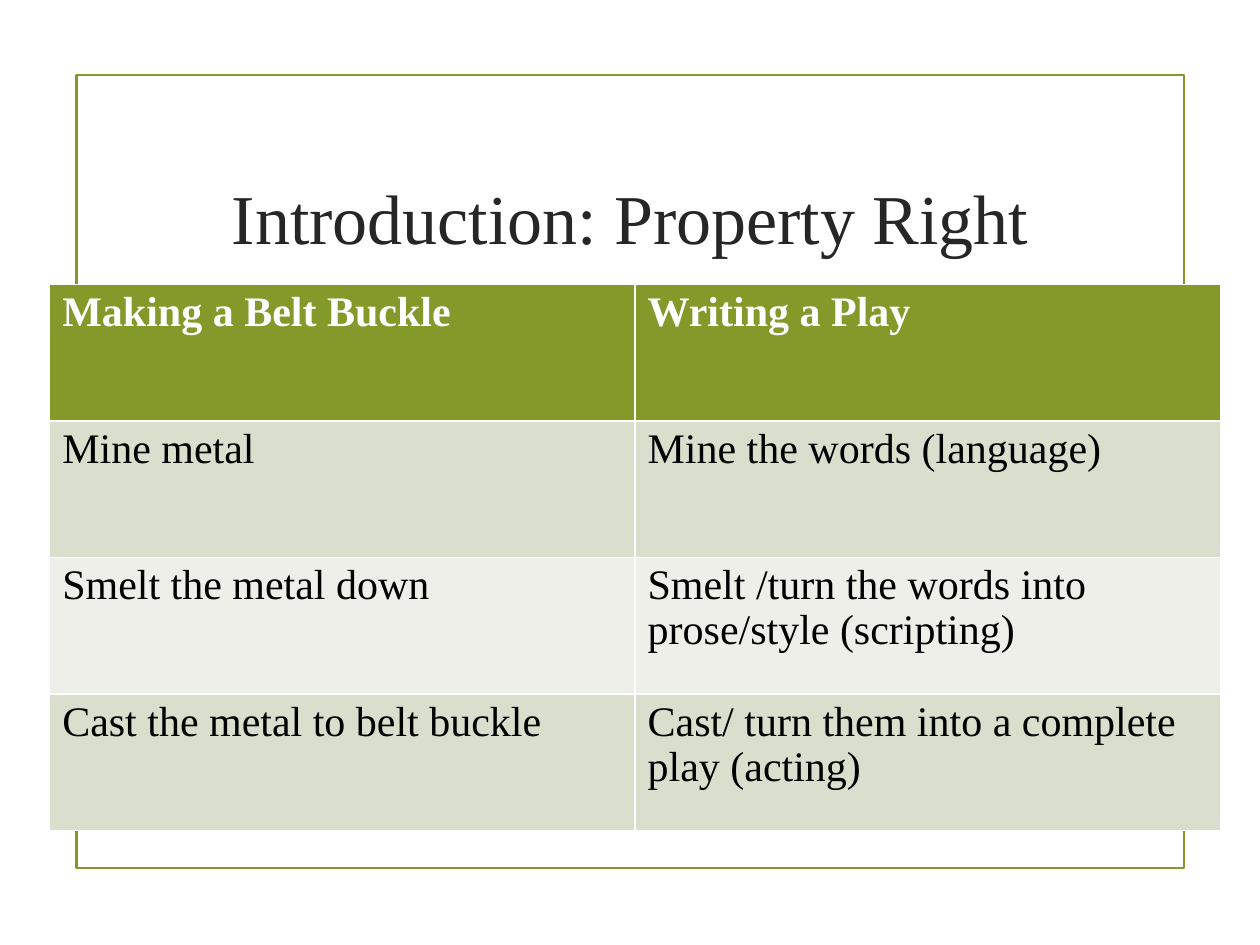
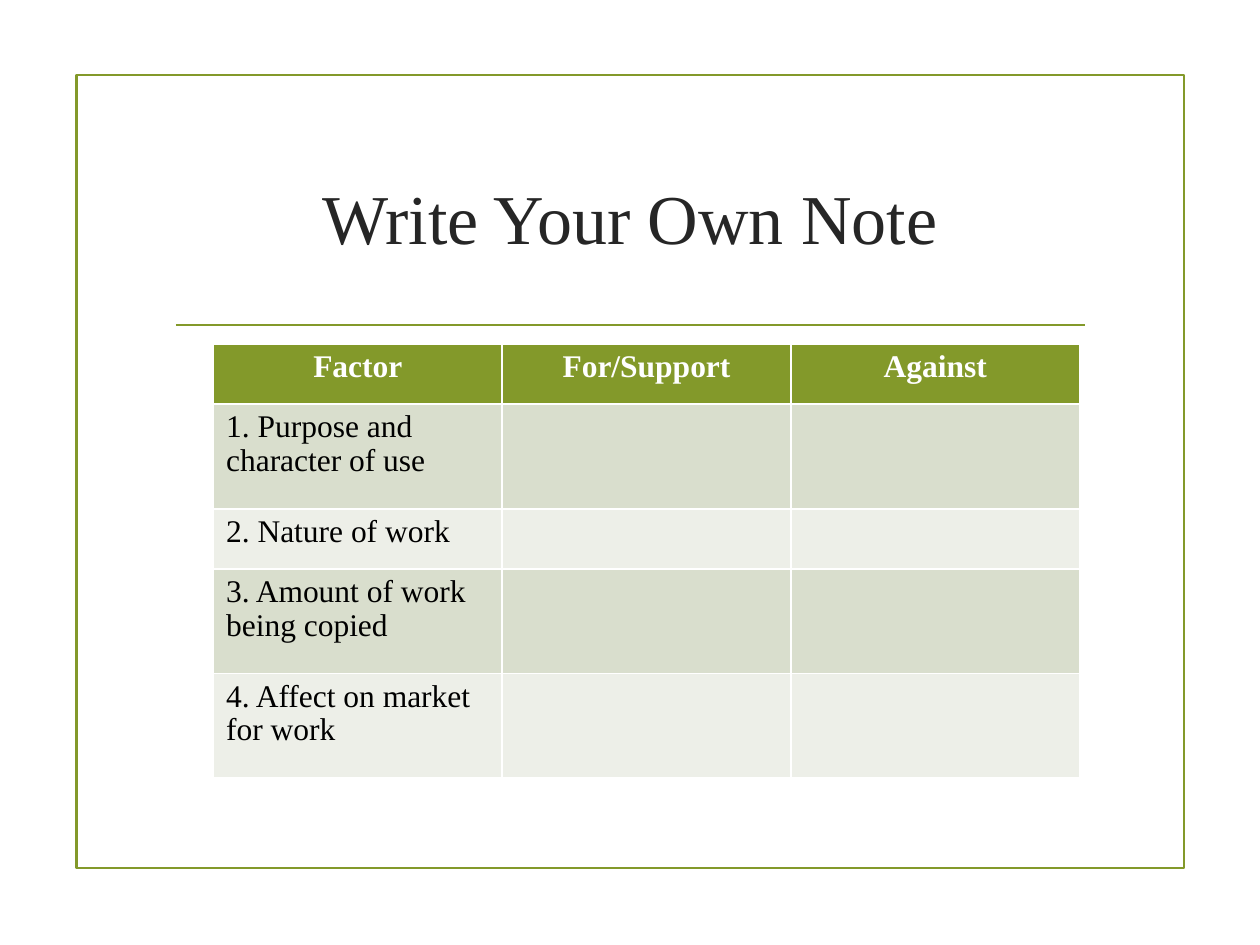
from dataclasses import dataclass

from pptx import Presentation
from pptx.dml.color import RGBColor
from pptx.enum import shapes, text
from pptx.oxml import parse_xml
from pptx.oxml.ns import nsdecls
from pptx.slide import Slide
from pptx.util import Pt

# Shared look
GREEN = RGBColor(0x83, 0x99, 0x2A)
SAGE = RGBColor(0xD9, 0xDE, 0xCD)
PALE = RGBColor(0xED, 0xEF, 0xE8)
WHITE = RGBColor(0xFF, 0xFF, 0xFF)
BLACK = RGBColor(0x00, 0x00, 0x00)
TITLE_INK = RGBColor(0x26, 0x26, 0x26)
FONT = "Times New Roman"
BORDER = Pt(1.25)
TITLE_ONLY = 5


@dataclass(frozen=True)
class Grid:
    left: float
    top: float
    column_width: float
    row_heights: tuple[float, ...]
    font_size: float
    header_align: text.PP_ALIGN
    rows: tuple[tuple[str, ...], ...]


@dataclass(frozen=True)
class Page:
    title: str
    grid: Grid


PAGES = (
    Page("Introduction: Property Right", Grid(
        28.4, 162.5, 334.5, (78,) * 4, 24, text.PP_ALIGN.LEFT, (
            ("Making a Belt Buckle", "Writing a Play"),
            ("Mine metal", "Mine the words (language)"),
            ("Smelt the metal down",
             "Smelt /turn the words into prose/style (scripting)"),
            ("Cast the metal to belt buckle",
             "Cast/ turn them into a complete play (acting)"),
        ))),
    Page("Write Your Own Note", Grid(
        122, 196.5, 165, (34.5, 59.75, 34.5, 59.75, 59.75), 18,
        text.PP_ALIGN.CENTER, (
            ("Factor", "For/Support", "Against"),
            ("1. Purpose and character of use", "", ""),
            ("2. Nature of work", "", ""),
            ("3. Amount of work being copied", "", ""),
            ("4. Affect on market for work", "", ""),
        ))),
)


def draw_frame(slide: Slide) -> None:
    """Draw the green border and the rule below the title."""
    frame = slide.shapes.add_shape(
        shapes.MSO_SHAPE.RECTANGLE, Pt(43.75), Pt(42.75), Pt(633), Pt(453.5))
    frame.shadow.inherit = False
    frame.fill.background()
    rule = slide.shapes.add_connector(
        shapes.MSO_CONNECTOR.STRAIGHT, Pt(100.5), Pt(185.5), Pt(620), Pt(185.5))
    rule._element.spPr.append(parse_xml(f"<a:effectLst {nsdecls('a')}/>"))
    for outline in (frame.line, rule.line):
        outline.color.rgb = GREEN
        outline.width = BORDER


def write_title(slide: Slide, wording: str) -> None:
    title = slide.shapes.title
    title.left, title.top = Pt(92.25), Pt(72)
    title.width, title.height = Pt(535.5), Pt(103)
    frame = title.text_frame
    frame.text = wording
    frame.word_wrap = True
    frame.auto_size = text.MSO_AUTO_SIZE.NONE
    frame.vertical_anchor = text.MSO_ANCHOR.MIDDLE
    heading = frame.paragraphs[0]
    heading.alignment = text.PP_ALIGN.CENTER
    heading.font.name = FONT
    heading.font.size = Pt(40)
    heading.font.color.rgb = TITLE_INK


def draw_grid(slide: Slide, grid: Grid) -> None:
    """Draw a table with a green header and alternating row bands."""
    column_count = len(grid.rows[0])
    table = slide.shapes.add_table(
        len(grid.rows), column_count, Pt(grid.left), Pt(grid.top),
        Pt(grid.column_width * column_count), Pt(sum(grid.row_heights))).table
    for column in table.columns:
        column.width = Pt(grid.column_width)

    for row_index, (wordings, height) in enumerate(zip(grid.rows, grid.row_heights)):
        is_header = row_index == 0
        band = GREEN if is_header else SAGE if row_index % 2 else PALE
        table.rows[row_index].height = Pt(height)
        for column_index, wording in enumerate(wordings):
            cell = table.cell(row_index, column_index)
            cell.fill.solid()
            cell.fill.fore_color.rgb = band
            if not wording:
                continue
            cell.text = wording
            entry = cell.text_frame.paragraphs[0]
            entry.alignment = grid.header_align if is_header else text.PP_ALIGN.LEFT
            entry.line_spacing = 0.97
            entry.font.name = FONT
            entry.font.size = Pt(grid.font_size)
            entry.font.bold = is_header
            entry.font.color.rgb = WHITE if is_header else BLACK


def main() -> None:
    deck = Presentation()
    deck.slide_width, deck.slide_height = Pt(720), Pt(540)
    for page in PAGES:
        slide = deck.slides.add_slide(deck.slide_layouts[TITLE_ONLY])
        draw_frame(slide)
        write_title(slide, page.title)
        draw_grid(slide, page.grid)
    deck.save("out.pptx")


if __name__ == "__main__":
    main()
